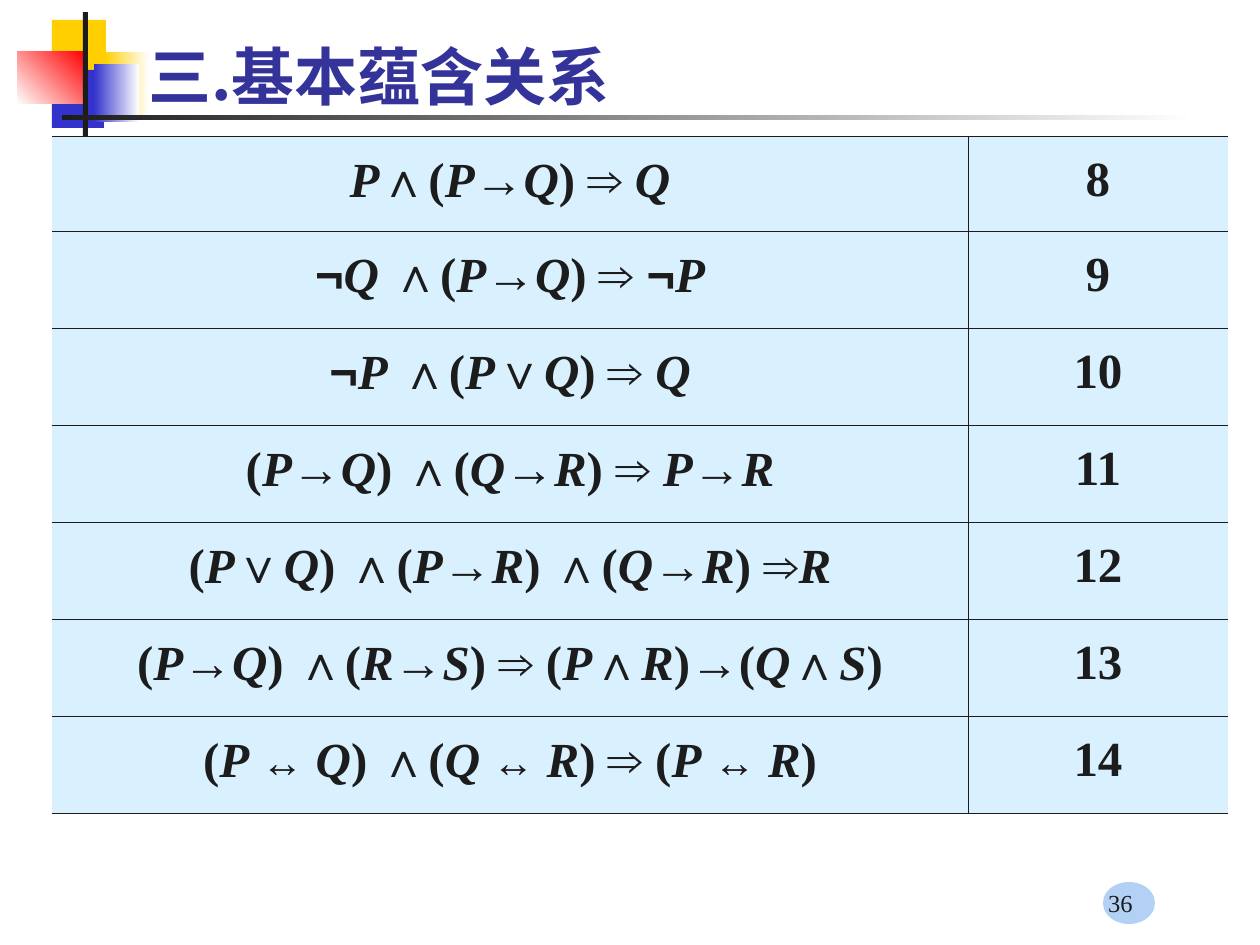
from itertools import groupby
from lxml.etree import SubElement
from pptx import Presentation
from pptx.dml.color import RGBColor as Rgb
from pptx.enum.shapes import MSO_SHAPE as Kind
from pptx.enum.text import MSO_ANCHOR as Anchor, PP_ALIGN as Align
from pptx.oxml import parse_xml
from pptx.oxml.ns import nsdecls, qn
from pptx.util import Pt

PX = 914400 / 126
HUE = {"ink": "1C1C1C", "title": "333399", "gold": "FFCF01", "blue": "3333CC",
       "red": "FF0000", "white": "FFFFFF", "cell": "D9F1FF", "dot": "B2D1F4"}
SERIF, SANS, HAN = "Times New Roman", "Arial", "Noto Sans CJK SC"
LAWS = [
    "P∧(P→Q) ⇒ Q",
    "¬Q ∧(P→Q) ⇒ ¬P",
    "¬P ∧(P∨Q) ⇒ Q",
    "(P→Q) ∧(Q→R) ⇒ P→R",
    "(P∨Q) ∧(P→R) ∧(Q→R) ⇒R",
    "(P→Q) ∧(R→S) ⇒ (P∧R)→(Q∧S)",
    "(P ↔ Q) ∧(Q ↔ R) ⇒ (P ↔ R)",
]
FIRST = 8


def px(num):
    """Turn pixels into EMU."""
    return round(num * PX)


def tint(name):
    """Look up a colour by name."""
    return Rgb.from_string(HUE[name])


def write(para, text, size=28, font=SERIF, hue="ink", bold=False, slant=False):
    """Add a run of formatted text to a paragraph."""
    run = para.add_run()
    run.text = text
    face = run.font
    face.size, face.name, face.bold, face.italic = Pt(size), font, bold, slant
    face.color.rgb = tint(hue)
    SubElement(run._r.get_or_add_rPr(), qn("a:ea")).set("typeface", font)


def block(slide, box, hue, end=None, angle=0, kind=Kind.RECTANGLE):
    """Draw a borderless shape, filled plain or with a gradient."""
    shape = slide.shapes.add_shape(kind, *map(px, box))
    shape.shadow.inherit = False
    shape.line.fill.background()
    if end is None:
        shape.fill.solid()
        shape.fill.fore_color.rgb = tint(hue)
        return
    shape.fill.gradient()
    shape.fill.gradient_angle = angle
    for stop, name, spot in zip(shape.fill.gradient_stops, (hue, end), (0, 1)):
        stop.color.rgb = tint(name)
        stop.position = spot


def label(slide, box, text, anchor, align, **style):
    """Place a text box with one line."""
    frame = slide.shapes.add_textbox(*map(px, box)).text_frame
    frame.word_wrap = True
    frame.vertical_anchor = anchor
    frame.paragraphs[0].alignment = align
    write(frame.paragraphs[0], text, **style)


def badge(slide, left, top):
    """Draw the block emblem with its rule."""
    def part(x, y, wide, high, *look, **more):
        block(slide, (left + x, top + y, wide, high), *look, **more)

    part(35, 8, 54, 58, "gold")
    part(87, 40, 45, 66, "gold", "white")
    part(35, 58, 52, 58, "blue")
    part(77, 52, 45, 58, "blue", "white")
    part(0, 40, 69, 52, "white", "red", angle=45)
    part(66, 0, 5, 130, "ink")
    part(45, 103, 1134, 5, "ink", "white")


def sort(char):
    """Name the kind of a formula character."""
    if char in "PQRS":
        return "name"
    if char in "∧∨→⇒¬":
        return "sign"
    return "both" if char == "↔" else "plain"


def formula(para, text):
    """Write a formula with a format for each kind of character."""
    looks = {"name": {"slant": True}, "sign": {"font": SANS},
             "both": {"size": 24}, "plain": {}}
    for kind, chars in groupby(text, sort):
        write(para, "".join(chars), bold=True, **looks[kind])


def edges(cell, shown):
    """Set the four borders of a cell."""
    props = cell._tc.get_or_add_tcPr()
    for spot, side in enumerate("LRTB"):
        paint = (f'<a:solidFill><a:srgbClr val="{HUE["ink"]}"/></a:solidFill>'
                 if side in shown else "<a:noFill/>")
        props.insert(spot, parse_xml(
            f'<a:ln{side} {nsdecls("a")} w="{Pt(0.45)}">{paint}</a:ln{side}>'))


def grid(slide, left, top, wide, head, high):
    """Build the table of laws and their numbers."""
    size = px(sum(wide)), px(head + high * (len(LAWS) - 1))
    table = slide.shapes.add_table(len(LAWS), 2, px(left), px(top), *size).table
    for col, width in zip(table.columns, wide):
        col.width = px(width)
    for row, (line, law) in enumerate(zip(table.rows, LAWS)):
        line.height = px(high if row else head)
        for cell, text, shown in zip(line.cells, (law, str(FIRST + row)), ("RTB", "LTB")):
            cell.fill.solid()
            cell.fill.fore_color.rgb = tint("cell")
            edges(cell, shown)
            para = cell.text_frame.paragraphs[0]
            para.alignment = Align.CENTER
            para.line_spacing = 1.2
            para.space_before = Pt(7)
            formula(para, text)


def footer(slide, left, top):
    """Place the page number on its dot."""
    block(slide, (left + 220, top + 21, 52, 42), "dot", kind=Kind.OVAL)
    label(slide, (left, top, 262, 63), "36", Anchor.BOTTOM, Align.RIGHT, size=14)


def main():
    """Build and save the slide."""
    deck = Presentation()
    deck.slide_width, deck.slide_height = px(1260), px(945)
    slide = deck.slides.add_slide(deck.slide_layouts[6])
    badge(slide, 17, 12)
    label(slide, (136, 32, 1074, 86), "三.基本蕴含关系", Anchor.MIDDLE, Align.LEFT,
          size=36, font=HAN, hue="title", bold=True)
    grid(slide, 52, 136, (916, 260), 95, 97)
    footer(slide, 883, 861)
    deck.save("out.pptx")


if __name__ == "__main__":
    main()
